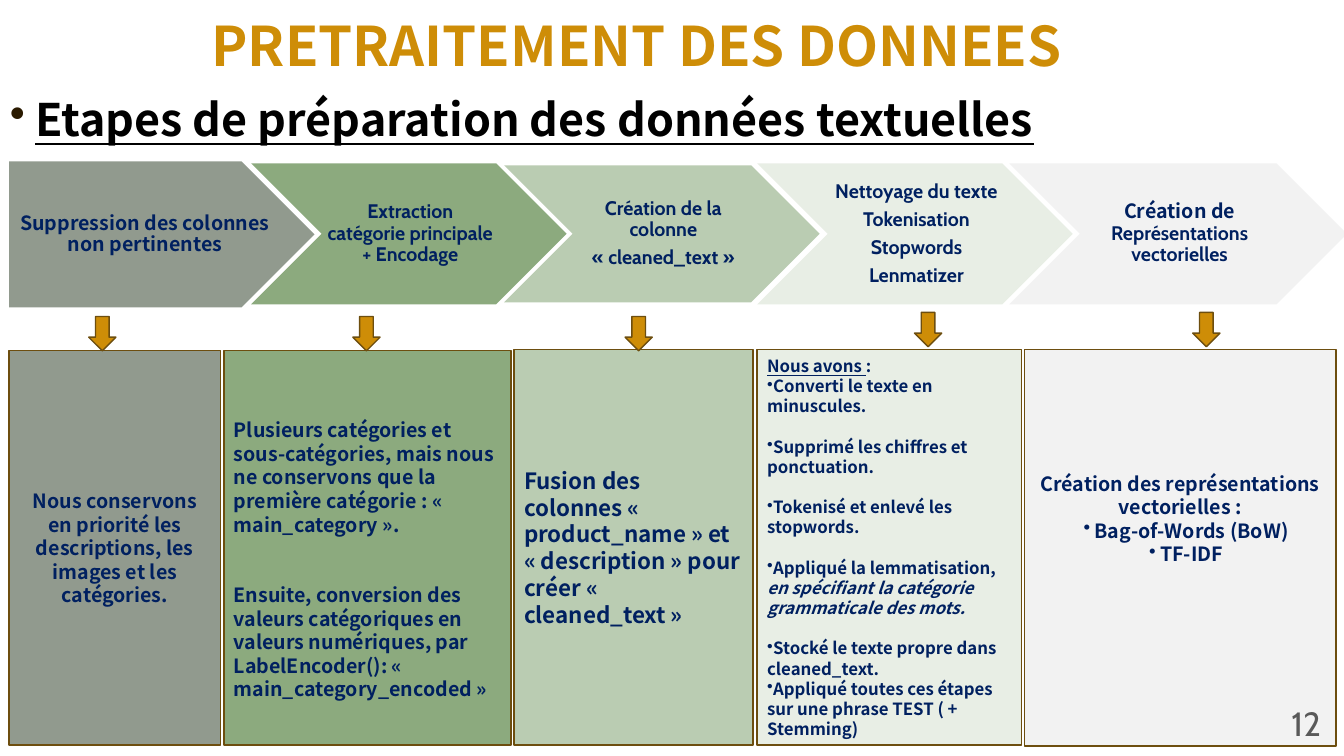
"""Build the slide on the preparation steps for textual data."""
from dataclasses import dataclass

import lxml.etree
import pptx
import pptx.dml.color
import pptx.enum.shapes
import pptx.enum.text
import pptx.oxml.ns
import pptx.util

Inches = pptx.util.Inches
Pt = pptx.util.Pt
Shapes = pptx.enum.shapes.MSO_SHAPE
Align = pptx.enum.text.PP_ALIGN

COLORS = {
    "white": "FFFFFF", "black": "000000", "gold": "CE8D07", "brown": "6D4E0F",
    "bullet": "2A1A00", "navy": "002060", "gray": "595959",
    "stone": "919A8E", "green": "8CAA7E", "sage": "BACCB2",
    "mist": "E8EEE5", "pale": "F2F2F2",
}
NOTO = "Noto Sans CJK JP"
CABIN = "Cabin"


@dataclass(frozen=True)
class Span:
    text: str
    font: str | None = None
    underline: bool | None = None
    italic: bool | None = None


@dataclass(frozen=True)
class Line:
    spans: tuple[Span, ...]
    size: float = 14
    font: str | None = NOTO
    color: str = "navy"
    bold: bool = True
    align: Align = Align.LEFT
    bullet: bool = False
    bullet_color: str | None = None
    margin: float = 0
    indent: float = 0
    before: float = 0
    after: float = 0
    spacing: float = 1.0


@dataclass(frozen=True)
class Step:
    kind: Shapes
    color: str
    chevron: tuple[float, float, float, float]
    chevron_lines: tuple[Line, ...]
    detail: tuple[float, float, float, float]
    detail_lines: tuple[Line, ...]
    arrow: tuple[float, float]
    detail_top_inset: float = 0.05
    detail_bottom_inset: float = 0.05


def rgb(name: str) -> pptx.dml.color.RGBColor:
    return pptx.dml.color.RGBColor.from_string(COLORS[name])


def line(text: str, **style) -> Line:
    return Line((Span(text),), **style)


def heading(*spans: Span, font: str | None = CABIN) -> Line:
    return Line(spans, font=font, align=Align.CENTER, spacing=0.9, after=4.9)


def action(*spans: Span, before: float = 14.4) -> Line:
    return Line(spans, size=12, bullet=True, before=before)


def add_bullet(paragraph, item: Line) -> None:
    properties = paragraph._p.get_or_add_pPr()
    properties.set("marL", str(Inches(item.margin)))
    properties.set("indent", str(Inches(item.indent)))
    qn = pptx.oxml.ns.qn
    if item.bullet_color:
        tint = lxml.etree.SubElement(properties, qn("a:buClr"))
        lxml.etree.SubElement(tint, qn("a:srgbClr"), val=COLORS[item.bullet_color])
    if item.bullet:
        lxml.etree.SubElement(properties, qn("a:buChar"), char="•")


def write(frame, lines: tuple[Line, ...],
          insets: tuple[float, float, float, float] = (0.1, 0.05, 0.1, 0.05),
          anchor=pptx.enum.text.MSO_ANCHOR.MIDDLE) -> None:
    frame.word_wrap = True
    frame.vertical_anchor = anchor
    (frame.margin_left, frame.margin_top,
     frame.margin_right, frame.margin_bottom) = map(Inches, insets)
    for index, item in enumerate(lines):
        paragraph = frame.add_paragraph() if index else frame.paragraphs[0]
        add_bullet(paragraph, item)
        paragraph.alignment = item.align
        paragraph.line_spacing = item.spacing
        paragraph.space_before = Pt(item.before)
        paragraph.space_after = Pt(item.after)
        paragraph.font.size = Pt(item.size)
        paragraph.font.bold = item.bold
        paragraph.font.color.rgb = rgb(item.color)
        if item.font:
            paragraph.font.name = item.font
        for span in item.spans:
            run = paragraph.add_run()
            run.text = span.text
            run.font.underline = span.underline
            run.font.italic = span.italic
            if span.font:
                run.font.name = span.font


def add_block(slide, kind: Shapes, box: tuple[float, float, float, float],
              fill: str, outline: str | None = None):
    block = slide.shapes.add_shape(kind, *map(Inches, box))
    block.shadow.inherit = False
    block.fill.solid()
    block.fill.fore_color.rgb = rgb(fill)
    if outline:
        block.line.color.rgb = rgb(outline)
        block.line.width = Pt(1)
    else:
        block.line.fill.background()
    return block


def add_step(slide, step: Step) -> None:
    chevron = add_block(slide, step.kind, step.chevron, step.color)
    write(chevron.text_frame, step.chevron_lines, (0.05, 0.04, 0.02, 0.04))
    detail = add_block(slide, Shapes.RECTANGLE, step.detail, step.color, "brown")
    write(detail.text_frame, step.detail_lines,
          (0.1, step.detail_top_inset, 0.1, step.detail_bottom_inset))
    add_block(slide, Shapes.DOWN_ARROW, (*step.arrow, 0.27, 0.34), "gold", "brown")


TITLES = (
    line("PRETRAITEMENT DES DONNEES", size=39, color="gold", margin=2, spacing=1.1),
    Line((Span("Etapes de préparation des données textuelles", underline=True),),
         size=32, color="black", bullet=True, bullet_color="bullet",
         margin=0.25, indent=-0.25, before=7, spacing=1.1),
)

STEPS = (
    Step(Shapes.PENTAGON, "stone", (0.09, 1.6, 3.03, 1.45),
         (heading(Span("Suppression des colonnes non pertinentes"), font=NOTO),),
         (0.09, 3.48, 2.1, 3.91),
         (line("Nous conservons en priorité les descriptions, les images et les catégories.",
               align=Align.CENTER),),
         (0.88, 3.14)),
    Step(Shapes.CHEVRON, "green", (2.49, 1.62, 3.13, 1.4),
         (heading(Span("Extraction catégorie principale + Encodage")),),
         (2.22, 3.48, 2.85, 3.91),
         (line("Plusieurs catégories et sous-catégories, mais nous ne conservons que "
               "la première catégorie : « main_category »."),
          line("Ensuite, conversion des valeurs catégoriques en valeurs numériques, par "
               "LabelEncoder(): « main_category_encoded »", before=33.6)),
         (3.5, 3.14), detail_top_inset=0.28),
    Step(Shapes.CHEVRON, "sage", (5, 1.64, 3.13, 1.36),
         (heading(Span("Création de la colonne")), heading(Span("« cleaned_text »"))),
         (5.1, 3.47, 2.37, 3.92),
         (line("Fusion des colonnes « product_name » et « description » pour créer "
               "« cleaned_text »", size=16),),
         (6.2, 3.14)),
    Step(Shapes.CHEVRON, "mist", (7.51, 1.62, 3.13, 1.4),
         tuple(heading(Span(task)) for task in
               ("Nettoyage du texte", "Tokenisation", "Stopwords", "Lenmatizer")),
         (7.51, 3.47, 2.62, 3.92),
         (Line((Span("Nous avons ", underline=True), Span(":")), size=12),
          action(Span("Converti le texte en minuscules."), before=0),
          action(Span("Supprimé les chiffres et ponctuation.")),
          action(Span("Tokenisé et enlevé les stopwords.")),
          action(Span("Appliqué la lemmatisation, "),
                 Span("en spécifiant la catégorie grammaticale des mots.", italic=True)),
          action(Span("Stocké le texte propre dans cleaned_text.")),
          action(Span("Appliqué toutes ces étapes sur une phrase TEST ( + Stemming)"),
                 before=0)),
         (9.07, 3.1)),
    Step(Shapes.CHEVRON, "pale", (10.01, 1.62, 3.35, 1.4),
         (heading(Span("Création de ", font=NOTO),
                  Span("Représentations vectorielles", font=CABIN), font=None),),
         (10.16, 3.47, 3.09, 3.93),
         (line("Création des représentations vectorielles :", align=Align.CENTER),
          *(line(method, align=Align.CENTER, bullet=True, margin=0.23, indent=-0.11)
            for method in ("Bag-of-Words (BoW)", "TF-IDF"))),
         (11.83, 3.1), detail_bottom_inset=0.63),
)


def main() -> None:
    deck = pptx.Presentation()
    deck.slide_width, deck.slide_height = Inches(13.33), Inches(7.5)
    slide = deck.slides.add_slide(deck.slide_layouts[6])
    slide.background.fill.solid()
    slide.background.fill.fore_color.rgb = rgb("white")
    titles = slide.shapes.add_textbox(0, 0, Inches(13.33), Inches(1.55))
    write(titles.text_frame, TITLES, anchor=pptx.enum.text.MSO_ANCHOR.TOP)
    for step in STEPS:
        add_step(slide, step)
    number = slide.shapes.add_textbox(*map(Inches, (10.12, 6.98, 3.08, 0.38)))
    write(number.text_frame, (line("12", size=24, font=CABIN, color="gray",
                                   bold=False, align=Align.RIGHT),))
    deck.save("out.pptx")


if __name__ == "__main__":
    main()
